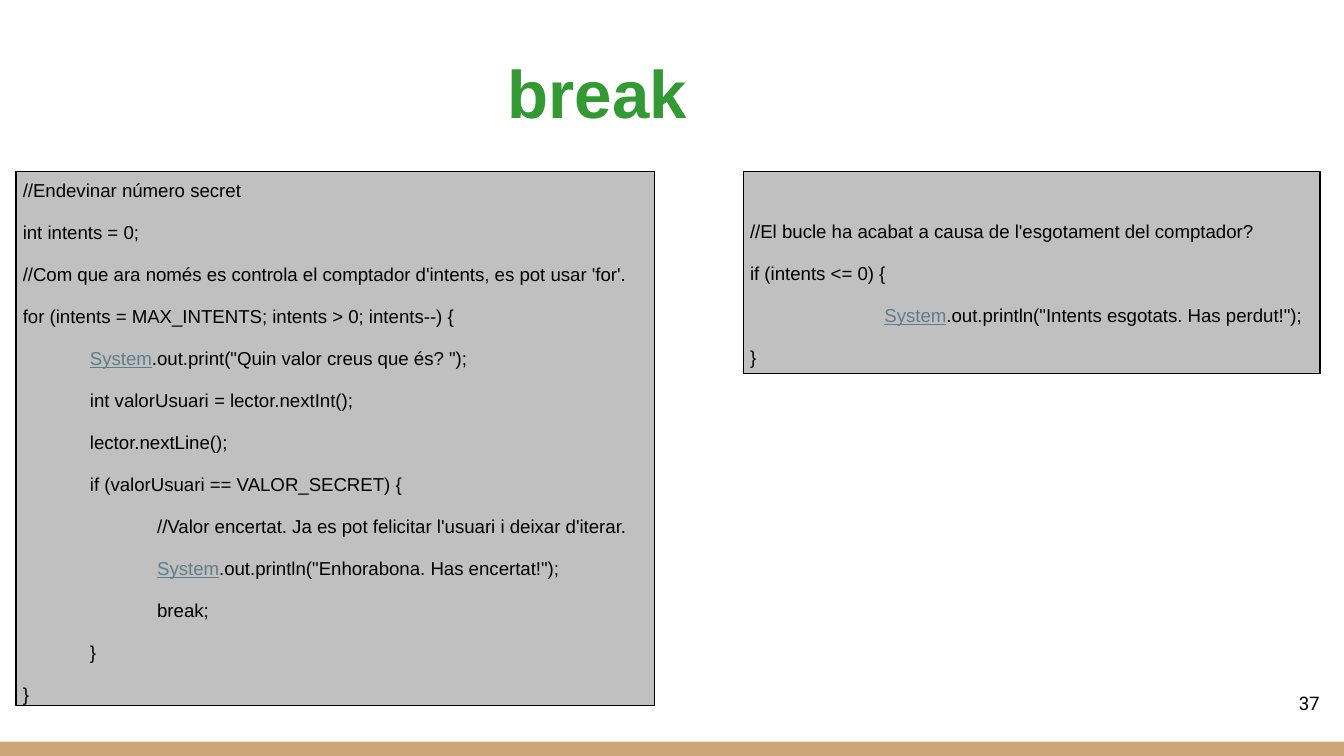
from dataclasses import dataclass

from pptx import Presentation
from pptx import util as u
from pptx.dml import color
from pptx.enum import shapes, text

COLORS = {
    "title": "339933",
    "code": "000000",
    "class": "607D8B",
    "panel": "C0C0C0",
    "border": "000000",
    "footer": "CCA677",
}
INSET = 3.6
INDENT = 36
LINE_GAP = 10.5
LINE_PITCH = 22
CLASS_NAME = "System"


@dataclass(frozen=True)
class CodeLine:
    code: str
    level: int = 0


@dataclass(frozen=True)
class CodePanel:
    left: float
    width: float
    height: float
    lines: tuple[CodeLine, ...]
    skipped_lines: int = 0


PANELS = (
    CodePanel(8.6, 342, 286, (
        CodeLine("//Endevinar número secret"),
        CodeLine("int intents = 0;"),
        CodeLine("//Com que ara només es controla el comptador d'intents, es pot usar 'for'."),
        CodeLine("for (intents = MAX_INTENTS; intents > 0; intents--) {"),
        CodeLine('System.out.print("Quin valor creus que és? ");', 1),
        CodeLine("int valorUsuari = lector.nextInt();", 1),
        CodeLine("lector.nextLine();", 1),
        CodeLine("if (valorUsuari == VALOR_SECRET) {", 1),
        CodeLine("//Valor encertat. Ja es pot felicitar l'usuari i deixar d'iterar.", 2),
        CodeLine('System.out.println("Enhorabona. Has encertat!");', 2),
        CodeLine("break;", 2),
        CodeLine("}", 1),
        CodeLine("}"),
    )),
    CodePanel(398.2, 309, 108, (
        CodeLine("//El bucle ha acabat a causa de l'esgotament del comptador?"),
        CodeLine("if (intents <= 0) {"),
        CodeLine('System.out.println("Intents esgotats. Has perdut!");', 2),
        CodeLine("}"),
    ), skipped_lines=1),
)


def rgb(role: str) -> color.RGBColor:
    return color.RGBColor.from_string(COLORS[role])


def style_font(font, size: float, role: str, face: str = "Arial") -> None:
    font.name = face
    font.size = u.Pt(size)
    font.color.rgb = rgb(role)


def set_frame(frame, anchor) -> None:
    frame.word_wrap = True
    frame.auto_size = text.MSO_AUTO_SIZE.NONE
    frame.vertical_anchor = anchor
    frame.margin_left = frame.margin_right = u.Pt(INSET)
    frame.margin_top = frame.margin_bottom = u.Pt(INSET)


def add_box(slide, left: float, top: float, width: float, height: float, role: str):
    box = slide.shapes.add_shape(
        shapes.MSO_SHAPE.RECTANGLE, u.Pt(left), u.Pt(top), u.Pt(width), u.Pt(height))
    box.shadow.inherit = False
    box.fill.solid()
    box.fill.fore_color.rgb = rgb(role)
    box.line.fill.background()
    return box


def write_line(paragraph, line: CodeLine) -> None:
    paragraph.alignment = text.PP_ALIGN.LEFT
    paragraph.level = line.level
    properties = paragraph._p.get_or_add_pPr()
    properties.set("marL", str(u.Pt(line.level * INDENT)))
    properties.set("indent", "0")
    if line.code.startswith(CLASS_NAME):
        class_name = paragraph.add_run()
        class_name.text = CLASS_NAME
        style_font(class_name.font, 10, "class")
        class_name.font.underline = True
    rest = paragraph.add_run()
    rest.text = line.code.removeprefix(CLASS_NAME)
    style_font(rest.font, 10, "code")


def draw_panel(slide, panel: CodePanel) -> None:
    box = add_box(slide, panel.left, 92, panel.width, panel.height, "panel")
    box.line.color.rgb = rgb("border")
    box.line.width = u.Pt(0.75)
    frame = box.text_frame
    set_frame(frame, text.MSO_ANCHOR.TOP)
    frame.margin_top = u.Pt(INSET + panel.skipped_lines * LINE_PITCH)
    for number, line in enumerate(panel.lines):
        paragraph = frame.add_paragraph() if number else frame.paragraphs[0]
        if number:
            paragraph.space_before = u.Pt(LINE_GAP)
        write_line(paragraph, line)


def draw_title(slide) -> None:
    title = slide.shapes.title
    title.left, title.top = u.Pt(25.2), u.Pt(15.1)
    title.width, title.height = u.Pt(589.7), u.Pt(67.7)
    title.text_frame.text = "break"
    set_frame(title.text_frame, text.MSO_ANCHOR.MIDDLE)
    heading = title.text_frame.paragraphs[0]
    heading.alignment = text.PP_ALIGN.CENTER
    style_font(heading.runs[0].font, 36, "title")
    heading.runs[0].font.bold = True


def draw_page_number(slide) -> None:
    page = slide.shapes.add_textbox(u.Pt(667.4), u.Pt(367.2), u.Pt(43.2), u.Pt(19.4))
    set_frame(page.text_frame, text.MSO_ANCHOR.TOP)
    page.text_frame.text = "37"
    number = page.text_frame.paragraphs[0]
    number.alignment = text.PP_ALIGN.RIGHT
    style_font(number.runs[0].font, 10, "code", "Roboto")


def main() -> None:
    deck = Presentation()
    deck.slide_width, deck.slide_height = u.Pt(720), u.Pt(405)
    slide = deck.slides.add_slide(deck.slide_layouts.get_by_name("Title Only"))
    add_box(slide, 0, 397.4, 720, 7.6, "footer")
    draw_title(slide)
    draw_page_number(slide)
    for panel in PANELS:
        draw_panel(slide, panel)
    deck.save("out.pptx")


if __name__ == "__main__":
    main()
